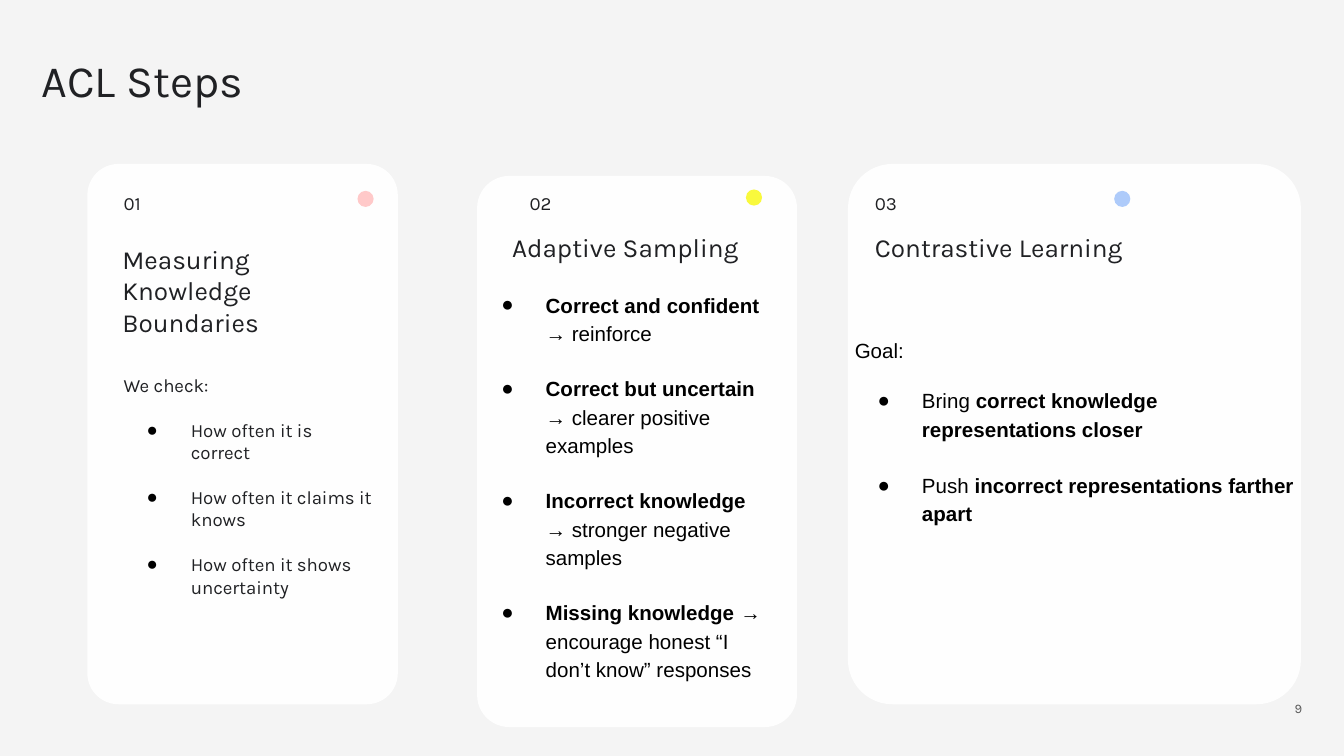
import pptx
import pptx.util
import pptx.dml.color
import pptx.enum.shapes
import pptx.enum.text
import pptx.oxml
import pptx.oxml.ns

Pt = pptx.util.Pt
RGB = pptx.dml.color.RGBColor
FORM = pptx.enum.shapes.MSO_SHAPE
ANCHOR = pptx.enum.text.MSO_ANCHOR
ALIGN = pptx.enum.text.PP_ALIGN

COLS, ROWS = 100, 56.25
CELL = pptx.util.Inches(0.1)
BACK = RGB(0xF4, 0xF4, 0xF4)
PANEL = RGB(0xFE, 0xFE, 0xFE)
INK = RGB(0x20, 0x21, 0x24)
BLACK = RGB(0, 0, 0)
GREY = RGB(0x5A, 0x5A, 0x5A)
PINK = RGB(0xFF, 0xC9, 0xC9)
YELLOW = RGB(0xF9, 0xF9, 0x3D)
BLUE = RGB(0xAE, 0xCB, 0xFA)

CARDS = [
    dict(box=(6.5, 12.2, 23.1, 40.2), round=0.1, color=PINK,
         dot=(20.1, 2), tag=(0.7, 2.1, 11.7, 4.8), num="01",
         head=(0.6, 6.65, 22.5, 5.5), name="Measuring Knowledge Boundaries",
         list=(0.7, 15.6, 22.5, 17.2), style=("Karla", 10, INK),
         gap=12, pitch=1, lead="We check:",
         items=[[("How often it is correct", False)],
                [("How often it claims it knows", False)],
                [("How often it shows uncertainty", False)]]),
    dict(box=(35.5, 13.1, 23.8, 41), round=0.1, color=YELLOW,
         dot=(20, 1), tag=(1.9, 1.2, 11.7, 4.8), num="02",
         head=(0.6, 2.55, 22.5, 5.5), name="Adaptive Sampling",
         list=(-1.9, 8.4, 25.8, 30.3), style=("Arial", 11, BLACK),
         gap=14.5, pitch=1.15, lead=None,
         items=[[("Correct and confident", True), (" → reinforce", False)],
                [("Correct but uncertain", True),
                 (" → clearer positive examples", False)],
                [("Incorrect knowledge", True),
                 (" → stronger negative samples", False)],
                [("Missing knowledge", True),
                 (" → encourage honest “I don’t know” responses", False)]]),
    dict(box=(63.1, 12.2, 33.7, 40.2), round=0.098, color=BLUE,
         dot=(19.8, 2), tag=(0, 2.1, 11.7, 4.8), num="03",
         head=(0, 3.45, 24.7, 5.5), name="Contrastive Learning",
         list=(-1.5, 12.65, 36.9, 26.7), style=("Arial", 11, BLACK),
         gap=15, pitch=1.15, lead="Goal:",
         items=[[("Bring ", False),
                 ("correct knowledge representations closer", True)],
                [("Push ", False),
                 ("incorrect representations farther apart", True)]]),
]


def inside(box, part):
    """Turn a part's offset within a box into a place on the slide grid."""
    return (box[0] + part[0], box[1] + part[1], *part[2:])


def cells(box):
    """Turn grid cells into slide lengths."""
    return [int(n * CELL) for n in box]


def move(shape, box):
    """Place a shape on the grid."""
    shape.left, shape.top, shape.width, shape.height = cells(box)


def frame(shape, side=0, anchor=ANCHOR.TOP):
    """Set the margins, wrap and anchor of a shape's text."""
    text = shape.text_frame
    text.word_wrap = True
    text.auto_size = pptx.enum.text.MSO_AUTO_SIZE.NONE
    text.vertical_anchor = anchor
    text.margin_left = text.margin_right = int(side * CELL)
    text.margin_top = text.margin_bottom = 0
    return text


def write(para, words, style, bold=False):
    """Add one styled run to a paragraph."""
    run = para.add_run()
    run.text = words
    run.font.name, size, run.font.color.rgb = style
    run.font.size = Pt(size)
    run.font.bold = bold


def label(slide, box, words, style, side=2, anchor=ANCHOR.TOP, align=ALIGN.LEFT):
    """Add a text box of one paragraph."""
    para = frame(slide.shapes.add_textbox(*cells(box)), side, anchor).paragraphs[0]
    para.alignment = align
    write(para, words, style)


def solid(slide, form, box, color):
    """Add a plain filled shape."""
    shape = slide.shapes.add_shape(form, *cells(box))
    shape.shadow.inherit = False
    shape.fill.solid()
    shape.fill.fore_color.rgb = color
    shape.line.fill.background()
    return shape


def mark(para, bullet):
    """Give a paragraph a black round bullet, or none."""
    props = para._p.get_or_add_pPr()
    props.set("marL", str(5 * CELL if bullet else 0))
    props.set("indent", str(int(-3.3 * CELL) if bullet else 0))
    space = pptx.oxml.ns.nsdecls("a")
    parts = [f"<a:buNone {space}/>"]
    if bullet:
        parts = [f'<a:buClr {space}><a:srgbClr val="{BLACK}"/></a:buClr>',
                 f'<a:buFont {space} typeface="Arial"/>',
                 f'<a:buChar {space} char="●"/>']
    for part in parts:
        props.append(pptx.oxml.parse_xml(part))


def points(slide, holder, box, card):
    """Fill a body placeholder with a card's lead line and bullets."""
    slide.shapes._spTree.append(holder._element)
    move(holder, box)
    text = frame(holder, 2)
    rows = [(True, item) for item in card["items"]]
    if card["lead"]:
        rows.insert(0, (False, [(card["lead"], False)]))
    for i, (bullet, runs) in enumerate(rows):
        para = text.add_paragraph() if i else text.paragraphs[0]
        mark(para, bullet)
        para.alignment = ALIGN.LEFT
        para.line_spacing = card["pitch"]
        after = card["gap"] if i and rows[i - 1][0] else 12
        para.space_before = Pt(after if i else 0)
        para.space_after = Pt(0)
        for words, bold in runs:
            write(para, words, card["style"], bold)


def step(slide, holder, card):
    """Draw one step card with its number, dot, heading and list."""
    box = card["box"]
    panel = solid(slide, FORM.ROUNDED_RECTANGLE, box, PANEL)
    panel.adjustments[0] = card["round"]
    points(slide, holder, inside(box, card["list"]), card)
    label(slide, inside(box, card["head"]), card["name"],
          ("Karla", 14, INK), anchor=ANCHOR.MIDDLE)
    label(slide, inside(box, card["tag"]), card["num"], ("Karla", 10, INK))
    solid(slide, FORM.OVAL, inside(box, (*card["dot"], 1.2, 1.2)), card["color"])


def title(slide, box, words):
    """Fill the title placeholder."""
    move(slide.shapes.title, box)
    para = frame(slide.shapes.title, anchor=ANCHOR.BOTTOM).paragraphs[0]
    para.alignment = ALIGN.LEFT
    para.line_spacing = 0.9
    write(para, words, ("Karla", 24, INK))


def main():
    """Build and save the slide."""
    deck = pptx.Presentation()
    deck.slide_width, deck.slide_height = cells((COLS, ROWS))
    slide = deck.slides.add_slide(deck.slide_layouts[4])
    slide.background.fill.solid()
    slide.background.fill.fore_color.rgb = BACK
    title(slide, (3.1, 2.45, 62, 5.5), "ACL Steps")
    *bodies, spare = list(slide.placeholders)[1:]
    spare._element.getparent().remove(spare._element)
    for holder, card in zip(bodies, CARDS):
        step(slide, holder, card)
    label(slide, (93.6, 51.05, 3.3, 2.2), "9", ("Karla", 7, GREY),
          side=0, anchor=ANCHOR.BOTTOM, align=ALIGN.RIGHT)
    deck.save("out.pptx")


if __name__ == "__main__":
    main()
